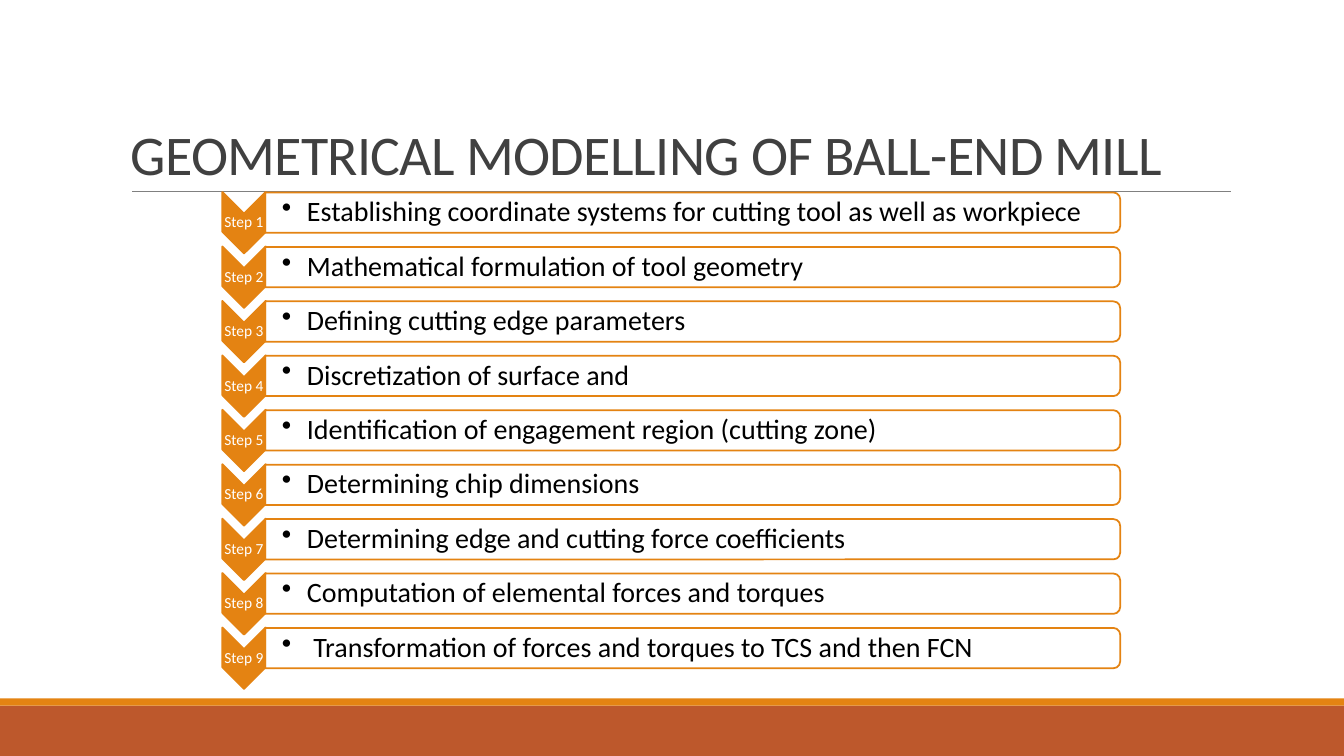
import pptx
import pptx.dml.color
import pptx.enum.shapes
import pptx.enum.text
import pptx.oxml
import pptx.oxml.ns
import pptx.util
from pptx.util import Inches

TITLE = "GEOMETRICAL MODELLING OF BALL-END MILL"
STEPS = [
    "Establishing coordinate systems for cutting tool as well as workpiece",
    "Mathematical formulation of tool geometry",
    "Defining cutting edge parameters",
    "Discretization of surface and",
    "Identification of engagement region (cutting zone)",
    "Determining chip dimensions",
    "Determining edge and cutting force coefficients",
    "Computation of elemental forces and torques",
    " Transformation of forces and torques to TCS and then FCN",
]
FOOTER_BANDS = [(7, 0.5, "BD582C"), (6.93, 0.07, "E48312")]
ORANGE = "E48312"
PITCH = 0.54
CHEVRON_CENTRE, BAR_CENTRE = (2.42, 2.21), (6.87, 2.11)
CHEVRON_SIZE, BAR_SIZE = (0.61, 0.43), (0.4, 8.48)
LABEL_SIZE, STEP_TEXT_SIZE = (0.43, 0.18), (8.47, 0.36)

SHAPE = pptx.enum.shapes.MSO_SHAPE
ANCHOR = pptx.enum.text.MSO_ANCHOR
ALIGN = pptx.enum.text.PP_ALIGN


def colour(value):
    return pptx.dml.color.RGBColor.from_string(value)


def centred(centre, size):
    return centre[0] - size[0] / 2, centre[1] - size[1] / 2, *size


def add_block(shapes, preset, box, fill, line=None, rotation=0, opacity=100):
    block = shapes.add_shape(preset, *map(Inches, box))
    block.shadow.inherit = False
    block.rotation = rotation
    block.fill.solid()
    block.fill.fore_color.rgb = colour(fill)
    if opacity < 100:
        srgb = block.fill._xPr.find(".//" + pptx.oxml.ns.qn("a:srgbClr"))
        alpha = pptx.oxml.parse_xml(f"<a:alpha {pptx.oxml.ns.nsdecls('a')} val='{opacity * 1000}'/>")
        srgb.append(alpha)
    if line:
        block.line.color.rgb = colour(line)
        block.line.width = pptx.util.Pt(1.25)
    else:
        block.line.fill.background()


def add_text(shapes, text, box, size, color, anchor=ANCHOR.MIDDLE, align=ALIGN.LEFT,
             insets=(0.01, 0.01, 0.01, 0.01), spacing=0.9, tracking=None, bullet=False, wrap=True):
    frame = shapes.add_textbox(*map(Inches, box)).text_frame
    frame.word_wrap = wrap
    frame.vertical_anchor = anchor
    frame.margin_left, frame.margin_top, frame.margin_right, frame.margin_bottom = map(Inches, insets)
    paragraph = frame.paragraphs[0]
    paragraph.alignment = align
    paragraph.line_spacing = spacing
    run = paragraph.add_run()
    run.text = text
    run.font.name = "Calibri"
    run.font.size = pptx.util.Pt(size)
    run.font.color.rgb = colour(color)
    if tracking:
        run.font._element.set("spc", str(int(tracking * 100)))
    if bullet:
        paragraph.level = 1
        properties = paragraph._p.get_or_add_pPr()
        properties.set("marL", str(Inches(0.25)))
        properties.set("indent", str(Inches(-0.25)))
        properties.append(pptx.oxml.parse_xml(f"<a:buChar {pptx.oxml.ns.nsdecls('a')} char='•'/>"))


def add_rule(shapes, start, end, color, width):
    rule = shapes.add_connector(pptx.enum.shapes.MSO_CONNECTOR.STRAIGHT, *map(Inches, start + end))
    rule.line.color.rgb = colour(color)
    rule.line.width = pptx.util.Pt(width)
    rule._element.spPr.append(pptx.oxml.parse_xml(f"<a:effectLst {pptx.oxml.ns.nsdecls('a')}/>"))


def add_step(shapes, index, text):
    chevron_centre, bar_centre = ((x, y + index * PITCH) for x, y in (CHEVRON_CENTRE, BAR_CENTRE))
    add_block(shapes, SHAPE.CHEVRON, centred(chevron_centre, CHEVRON_SIZE), ORANGE, ORANGE, 90)
    add_text(shapes, f"Step {index + 1}", centred(chevron_centre, LABEL_SIZE), 11, "FFFFFF",
             align=ALIGN.CENTER, wrap=False)
    add_block(shapes, SHAPE.ROUND_2_SAME_RECTANGLE, centred(bar_centre, BAR_SIZE), "FFFFFF", ORANGE, 90, 90)
    add_text(shapes, text, centred(bar_centre, STEP_TEXT_SIZE), 20, "000000",
             insets=(0.16, 0.01, 0.01, 0.01), bullet=True)


def main():
    """Build the slide listing the nine modelling steps."""
    deck = pptx.Presentation()
    deck.slide_width, deck.slide_height = Inches(13.33), Inches(7.5)
    shapes = deck.slides.add_slide(deck.slide_layouts[6]).shapes
    for top, height, fill in FOOTER_BANDS:
        add_block(shapes, SHAPE.RECTANGLE, (0, top, 13.33, height), fill)
    add_rule(shapes, (1.31, 1.9), (12.21, 1.9), "808080", 0.5)
    add_text(shapes, TITLE, (1.2, 0.31, 11, 1.59), 40, "404040", anchor=ANCHOR.BOTTOM,
             insets=(0.1, 0.05, 0.1, 0.05), spacing=0.85, tracking=-0.5)
    steps = shapes.add_group_shape().shapes
    for index, text in enumerate(STEPS):
        add_step(steps, index, text)
    deck.save("out.pptx")


if __name__ == "__main__":
    main()
